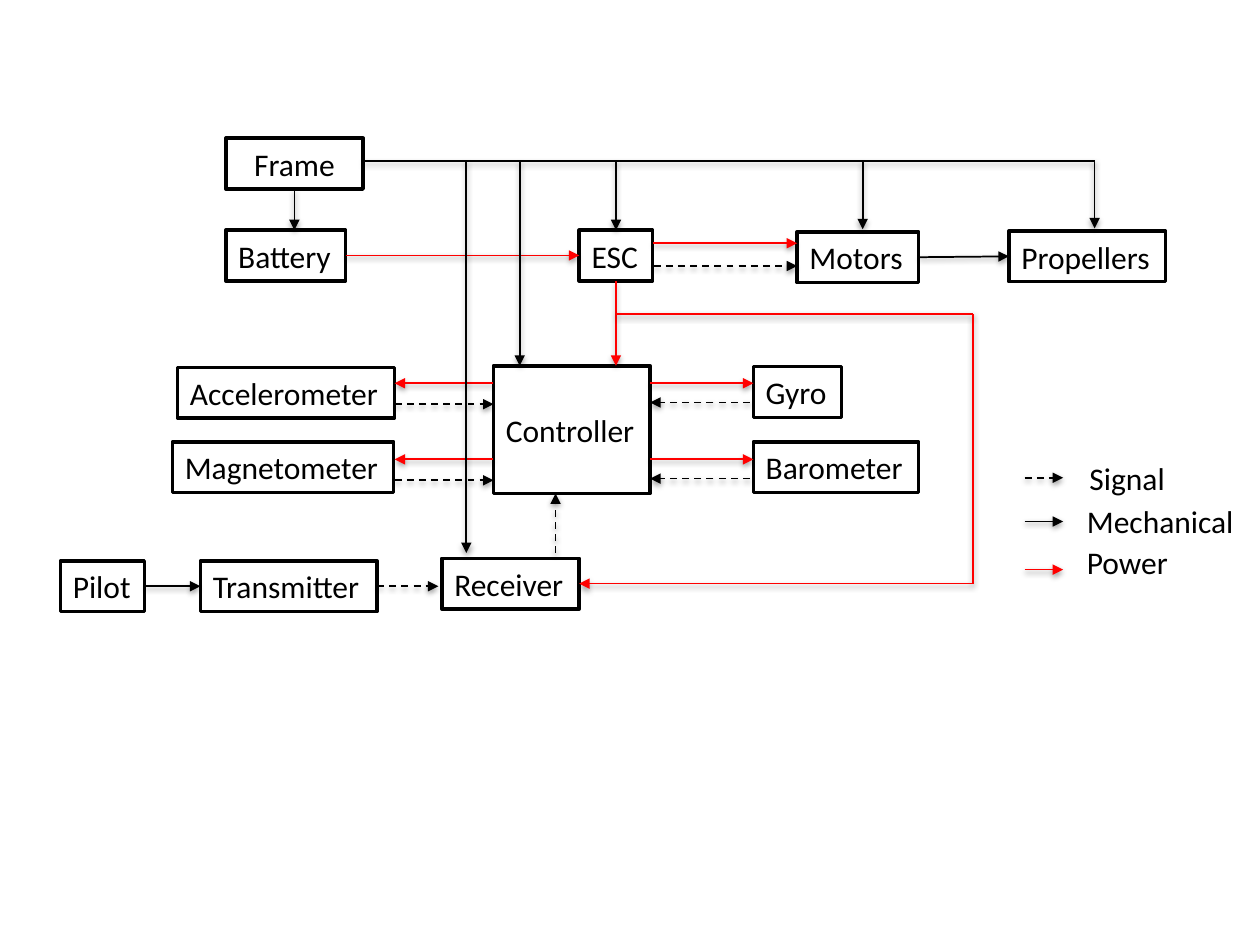
"""Build a slide with the block diagram of a quadcopter."""
from pptx import Presentation
from pptx.dml.color import RGBColor as Rgb
from pptx.enum.dml import MSO_LINE as Dash
from pptx.enum.shapes import MSO_CONNECTOR as Conn, MSO_SHAPE as Form
from pptx.enum.text import MSO_ANCHOR as Anchor, PP_ALIGN as Align
from pptx.oxml import parse_xml
from pptx.oxml.ns import nsdecls, qn
from pptx.util import Pt

HUES = {"ink": "000000", "paper": "FFFFFF", "power": "FF0000"}
SHADE = (
    f'<a:effectLst {nsdecls("a")}>'
    '<a:outerShdw blurRad="40000" dist="20000" dir="5400000" rotWithShape="0">'
    f'<a:srgbClr val="{HUES["ink"]}"><a:alpha val="38000"/></a:srgbClr>'
    "</a:outerShdw></a:effectLst>"
)


def write(shape, text, align=Align.LEFT):
    frame = shape.text_frame
    frame.word_wrap = False
    frame.vertical_anchor = Anchor.MIDDLE
    para = frame.paragraphs[0]
    para.text = text
    para.alignment = align
    para.font.name = "Calibri"
    para.font.size = Pt(18)
    para.font.color.rgb = Rgb.from_string(HUES["ink"])


def link(shapes, kind, x1, y1, x2, y2, tip="tailEnd"):
    line = shapes.add_connector(Conn.STRAIGHT, Pt(x1), Pt(y1), Pt(x2), Pt(y2))
    line.line.width = Pt(1)
    line.line.color.rgb = Rgb.from_string(HUES["power" if kind == "power" else "ink"])
    if kind == "signal":
        line.line.dash_style = Dash.DASH
    props = line.element.spPr
    if tip:
        props.find(qn("a:ln")).append(parse_xml(f'<a:{tip} {nsdecls("a")} type="triangle"/>'))
    props.append(parse_xml(SHADE))
    return line


deck = Presentation()
deck.slide_width, deck.slide_height = Pt(720), Pt(540)
slide = deck.slides.add_slide(deck.slide_layouts[6])
shapes = slide.shapes

parts = [
    ("Battery", 129, 131.5, 68.5, 29),
    ("Accelerometer", 101.5, 210, 124, 29),
    ("Controller", 282, 209, 89.5, 73),
    ("Propellers", 576.5, 132, 89.5, 29),
    ("Motors", 455.5, 132.5, 69.5, 29),
    ("Frame", 129, 79, 78.5, 29),
    ("ESC", 331, 131.5, 42, 29),
    ("Gyro", 430.5, 209.5, 50.5, 29),
    ("Receiver", 252.5, 319, 78.5, 29),
    ("Transmitter", 114.5, 320.5, 101, 29),
    ("Magnetometer", 98.5, 252.5, 126.5, 29),
    ("Barometer", 430.5, 252.5, 94.5, 29),
    ("Pilot", 34.5, 320.5, 48, 29),
]
boxes = {}
for name, x, y, w, h in parts:
    box = shapes.add_shape(Form.RECTANGLE, Pt(x), Pt(y), Pt(w), Pt(h))
    box.shadow.inherit = False
    box.fill.solid()
    box.fill.fore_color.rgb = Rgb.from_string(HUES["paper"])
    box.line.color.rgb = Rgb.from_string(HUES["ink"])
    box.line.width = Pt(2)
    write(box, name, Align.CENTER if name == "Frame" else Align.LEFT)
    boxes[name] = box

for kind, start, end in [
    ("power", "Battery", "ESC"),
    ("mechanical", "Motors", "Propellers"),
    ("mechanical", "Pilot", "Transmitter"),
]:
    line = link(shapes, kind, 0, 0, 9, 9)
    line.begin_connect(boxes[start], 3)
    line.end_connect(boxes[end], 1)

for kind, start, site, x, y in [
    ("power", "ESC", 2, 352, 209),
    ("mechanical", "Frame", 2, 168.25, 131.5),
    ("signal", "Transmitter", 3, 250.5, 335),
]:
    link(shapes, kind, 0, 0, x, y).begin_connect(boxes[start], site)

link(shapes, "power", 373, 139, 455.5, 139)
link(shapes, "signal", 373.5, 152, 455.5, 152)
link(shapes, "signal", 317.5, 316, 317.5, 282)

for y in (219, 262.5):
    link(shapes, "power", 282, y, 225.5, y)
    link(shapes, "signal", 225.5, y + 12, 282, y + 12)
    link(shapes, "power", 371.5, y, 430.5, y)
    link(shapes, "signal", 428.5, y + 11, 371.5, y + 11)

top = 92
link(shapes, "mechanical", 207.5, top, 625.5, top, None)
for x, y in [(266.5, 316), (297, 209), (493, 131), (625.5, 130.5)]:
    link(shapes, "mechanical", x, top, x, y)
link(shapes, "mechanical", 352, top, 352, 131.5).end_connect(boxes["ESC"], 0)

side = 556
link(shapes, "power", 352, 179.5, side, 179.5, None)
link(shapes, "power", side, 179.5, side, 333.5, None)
link(shapes, "power", 331, 333.5, side, 333.5, "headEnd").begin_connect(boxes["Receiver"], 3)

key = shapes.add_group_shape().shapes
for name, x, y, w, mark in [
    ("Signal", 615.5, 258.5, 58.5, 273),
    ("Mechanical", 614, 283, 99, 298),
    ("Power", 614, 306.5, 66, 325.5),
]:
    write(key.add_textbox(Pt(x), Pt(y), Pt(w), Pt(29)), name)
    link(key, name.lower(), 585.5, mark, 607.5, mark)

deck.save("out.pptx")
